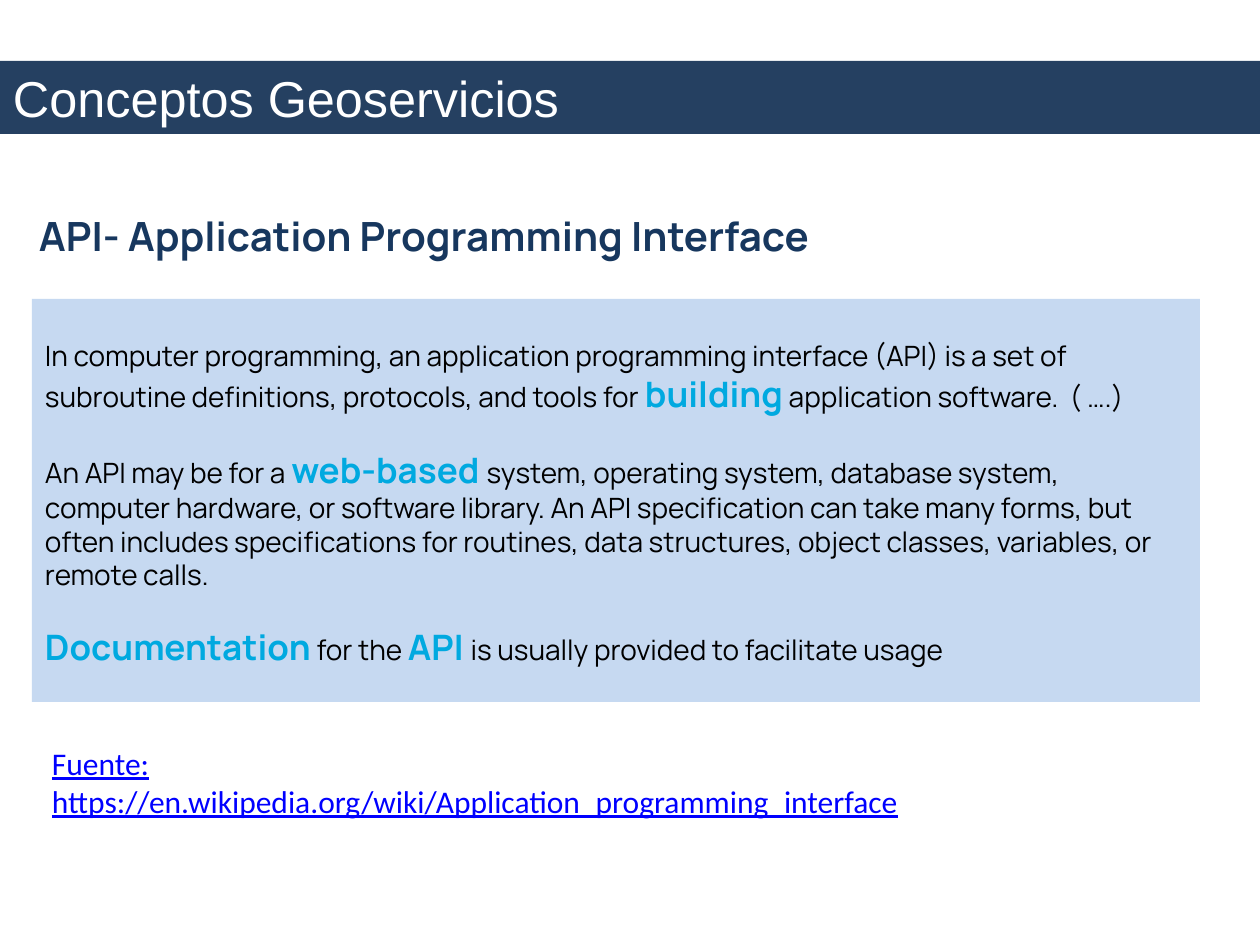
from pptx import Presentation
from pptx.dml.color import RGBColor
from pptx.enum.shapes import MSO_SHAPE as Shape
from pptx.enum.text import MSO_ANCHOR as Anchor, PP_ALIGN as Align
from pptx.util import Emu, Pt

PX = 914400 // 126
COLORS = {
    "navy": "254061",
    "heading": "17375E",
    "panel": "C6D9F1",
    "accent": "00A9E0",
    "link": "0000FF",
    "text": "000000",
    "white": "FFFFFF",
}
DEFINITION = [
    [
        ("In computer programming, an application programming interface (API) is a set of "
         "subroutine definitions, protocols, and tools for ", False),
        ("building", True),
        (" application software.  ( ….)", False),
    ],
    [
        ("An API may be for a ", False),
        ("web-based ", True),
        ("system, operating system, database system, computer hardware, or software library. "
         "An API specification can take many forms, but often includes specifications for "
         "routines, data structures, object classes, variables, or remote calls.", False),
    ],
    [
        ("Documentation", True),
        (" for the ", False),
        ("API ", True),
        ("is usually provided to facilitate usage", False),
    ],
]


def color(name):
    """Return the named colour."""
    return RGBColor.from_string(COLORS[name])


def style(font, size, tint, name=None, bold=None):
    """Set the look of a paragraph or run font."""
    font.size = Pt(size)
    font.color.rgb = color(tint)
    font.bold = bold
    if name:
        font.name = name


def add_frame(page, box, insets, anchor=Anchor.TOP, fill=None):
    """Add a filled rectangle or a plain text box and return its text frame."""
    place = [Emu(value * PX) for value in box]
    if fill:
        shape = page.shapes.add_shape(Shape.RECTANGLE, *place)
        shape.shadow.inherit = False
        shape.fill.solid()
        shape.fill.fore_color.rgb = color(fill)
        shape.line.fill.background()
    else:
        shape = page.shapes.add_textbox(*place)
    frame = shape.text_frame
    frame.word_wrap = True
    frame.vertical_anchor = anchor
    (frame.margin_left, frame.margin_top,
     frame.margin_right, frame.margin_bottom) = [Emu(value * PX) for value in insets]
    return frame


def write_line(frame, text, size, tint, name, bold=None):
    """Write a single left-aligned paragraph into a frame."""
    para = frame.paragraphs[0]
    para.text = text
    para.alignment = Align.LEFT
    style(para.font, size, tint, name, bold)
    return para


def add_title_band(page, box):
    """Place the full-width title band."""
    frame = add_frame(page, box, (13, 6, 13, 6), Anchor.MIDDLE, "navy")
    write_line(frame, "Conceptos Geoservicios", 28.8, "white", "Arial")


def add_heading(page, box):
    """Place the section heading."""
    frame = add_frame(page, box, (0, 4, 0, 0), Anchor.MIDDLE)
    write_line(frame, "API- Application Programming Interface", 23, "heading", "Manrope", True)


def add_definition(page, box):
    """Place the definition panel with its highlighted key words."""
    frame = add_frame(page, box, (13, 40, 13, 6), fill="panel")
    for index, parts in enumerate(DEFINITION):
        para = frame.paragraphs[0] if index == 0 else frame.add_paragraph()
        para.alignment = Align.LEFT
        para.font.name = "Manrope"
        if index:
            para.space_before = Pt(19.5)
        for text, is_key in parts:
            span = para.add_run()
            span.text = text
            if is_key:
                style(span.font, 20, "accent", "Manrope", True)
            else:
                style(span.font, 16, "text", "Manrope")


def add_reference(page, box):
    """Place the underlined reference."""
    frame = add_frame(page, box, (13, 6, 13, 6))
    text = "Fuente: https://en.wikipedia.org/wiki/Application_programming_interface"
    write_line(frame, text, 18, "link", "Calibri").font.underline = True


def main():
    """Build the slide and save the deck."""
    deck = Presentation()
    deck.slide_width, deck.slide_height = Emu(1260 * PX), Emu(945 * PX)
    page = deck.slides.add_slide(deck.slide_layouts[6])
    add_title_band(page, (0, 61, 1260, 73))
    add_definition(page, (32, 299, 1168, 403))
    add_reference(page, (39, 738, 874, 38))
    add_heading(page, (39, 202, 796, 62))
    deck.save("out.pptx")


if __name__ == "__main__":
    main()
